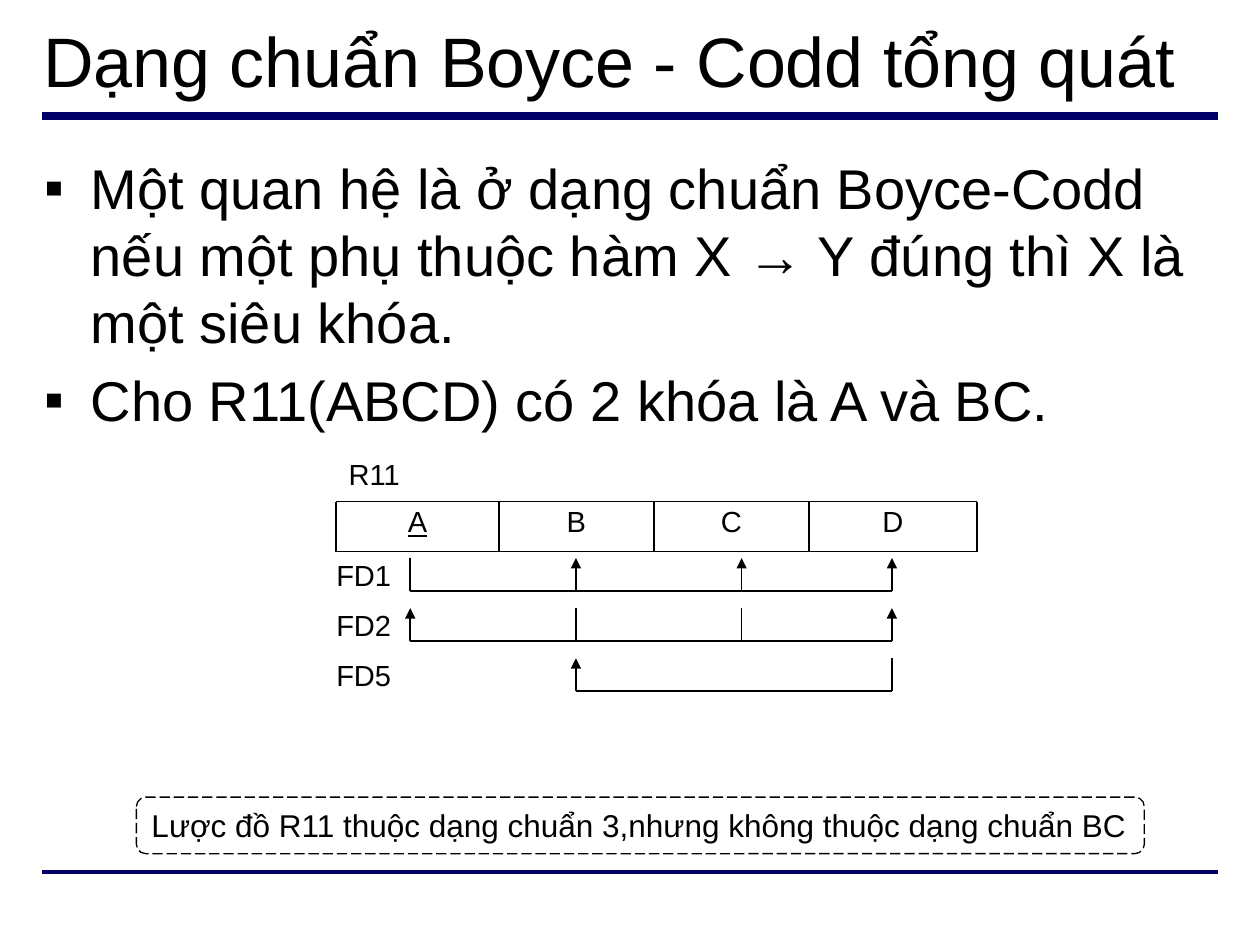
from lxml.etree import SubElement
from pptx import Presentation
from pptx.dml.color import RGBColor
from pptx.enum.dml import MSO_LINE
from pptx.enum.shapes import MSO_CONNECTOR, MSO_SHAPE
from pptx.enum.text import MSO_ANCHOR, MSO_AUTO_SIZE, PP_ALIGN
from pptx.oxml.ns import qn
from pptx.util import Cm, Pt

HUES = {"ink": "000000", "navy": "000066", "paper": "FFFFFF"}
INK, NAVY, PAPER = (RGBColor.from_string(HUES[k]) for k in ("ink", "navy", "paper"))


def write(para, text, size, align=PP_ALIGN.LEFT):
    para.text = text
    para.alignment = align
    para.font.name = "Arial"
    para.font.size = Pt(size)
    para.font.color.rgb = INK


def draw(x1, y1, x2, y2, color=INK, width=1, arrow=False):
    line = slide.shapes.add_connector(
        MSO_CONNECTOR.STRAIGHT, Cm(x1), Cm(y1), Cm(x2), Cm(y2))
    line.line.color.rgb = color
    line.line.width = Pt(width)
    props = line._element.spPr
    if arrow:
        SubElement(props.find(qn("a:ln")), qn("a:headEnd"), type="triangle")
    SubElement(props, qn("a:effectLst"))


deck = Presentation()
deck.slide_width, deck.slide_height = Cm(25.4), Cm(19.05)
slide = deck.slides.add_slide(deck.slide_layouts[5])

# Rules under the title and above the foot
draw(0.84, 2.33, 24.56, 2.33, NAVY, 4.5)
draw(0.84, 17.57, 24.56, 17.57, NAVY, 2.25)

# Title
title = slide.shapes.title
title.left, title.top, title.width, title.height = Cm(0.62), Cm(0.21), Cm(24.13), Cm(1.96)
frame = title.text_frame
frame.vertical_anchor = MSO_ANCHOR.MIDDLE
frame.auto_size = MSO_AUTO_SIZE.NONE
write(frame.paragraphs[0], "Dạng chuẩn Boyce - Codd tổng quát", 40)

# Bullets
points = [
    "Một quan hệ là ở dạng chuẩn Boyce-Codd nếu một phụ thuộc hàm X → Y "
    "đúng thì X là một siêu khóa.",
    "Cho R11(ABCD) có 2 khóa là A và BC.",
]
frame = slide.shapes.add_textbox(Cm(0.64), Cm(2.97), Cm(24.13), Cm(14.07)).text_frame
frame.word_wrap = True
for i, text in enumerate(points):
    para = frame.add_paragraph() if i else frame.paragraphs[0]
    props = para._p.get_or_add_pPr()
    props.set("marL", str(Cm(0.94)))
    props.set("indent", str(-Cm(0.94)))
    tint = SubElement(props, qn("a:buClr"))
    SubElement(tint, qn("a:srgbClr"), val=HUES["ink"])
    SubElement(props, qn("a:buFont"), typeface="Arial")
    SubElement(props, qn("a:buChar"), char="▪")
    write(para, text, 32)
    if i:
        para.space_before = Pt(6)

# Grid of the relation: name, attributes, dependencies
top, row = 10.11, 1.01
edges = [6.78, 10.06, 13.18, 16.31, 19.69]
outer = [edges[0], *edges[2:]]
grid = [
    (outer, ["R11", "", ""]),
    (edges, ["A", "B", "C", "D"]),
    (edges, ["FD1", "", "", ""]),
    (edges, ["FD2", "", ""]),
    (edges, ["FD5", "", "", ""]),
]
for step, (sides, texts) in enumerate(grid, -1):
    for text, left, right in zip(texts, sides, sides[1:]):
        cell = slide.shapes.add_shape(
            MSO_SHAPE.RECTANGLE, Cm(left), Cm(top + step * row), Cm(right - left), Cm(row))
        cell.shadow.inherit = False
        cell.fill.solid()
        cell.fill.fore_color.rgb = PAPER
        cell.line.fill.background()
        if not text:
            continue
        frame = cell.text_frame
        para = frame.paragraphs[0]
        head = step == 0
        frame.vertical_anchor = MSO_ANCHOR.TOP if head else MSO_ANCHOR.MIDDLE
        if step > 0:
            frame.margin_left = 0
        write(para, text, 16.6, PP_ALIGN.CENTER if head else PP_ALIGN.LEFT)
        para.line_spacing = 0.9
        if text == "A":
            para.font.underline = True

# Borders of the attribute row
for y in (top, top + row):
    draw(edges[0], y, edges[-1], y)
for x in edges:
    draw(x, top, x, top + row)

# Dependencies: plain stems are sources, arrows are targets
stems = {"A": 8.27, "B": 11.61, "C": 14.95, "D": 17.98}
for step, (source, target) in enumerate([("A", "BCD"), ("BC", "AD"), ("D", "B")], 1):
    base = top + step * row + 0.79
    spots = [stems[name] for name in source + target]
    draw(min(spots), base, max(spots), base)
    for name in source + target:
        draw(stems[name], base - 0.66, stems[name], base, arrow=name in target)

# Conclusion
note = slide.shapes.add_shape(
    MSO_SHAPE.ROUNDED_RECTANGLE, Cm(2.75), Cm(16.07), Cm(20.32), Cm(1.14))
note.shadow.inherit = False
note.fill.background()
note.line.color.rgb = INK
note.line.width = Pt(0.75)
note.line.dash_style = MSO_LINE.LONG_DASH
frame = note.text_frame
frame.word_wrap = False
frame.vertical_anchor = MSO_ANCHOR.MIDDLE
write(frame.paragraphs[0],
      "Lược đồ R11 thuộc dạng chuẩn 3,nhưng không thuộc dạng chuẩn BC", 18)

deck.save("out.pptx")
